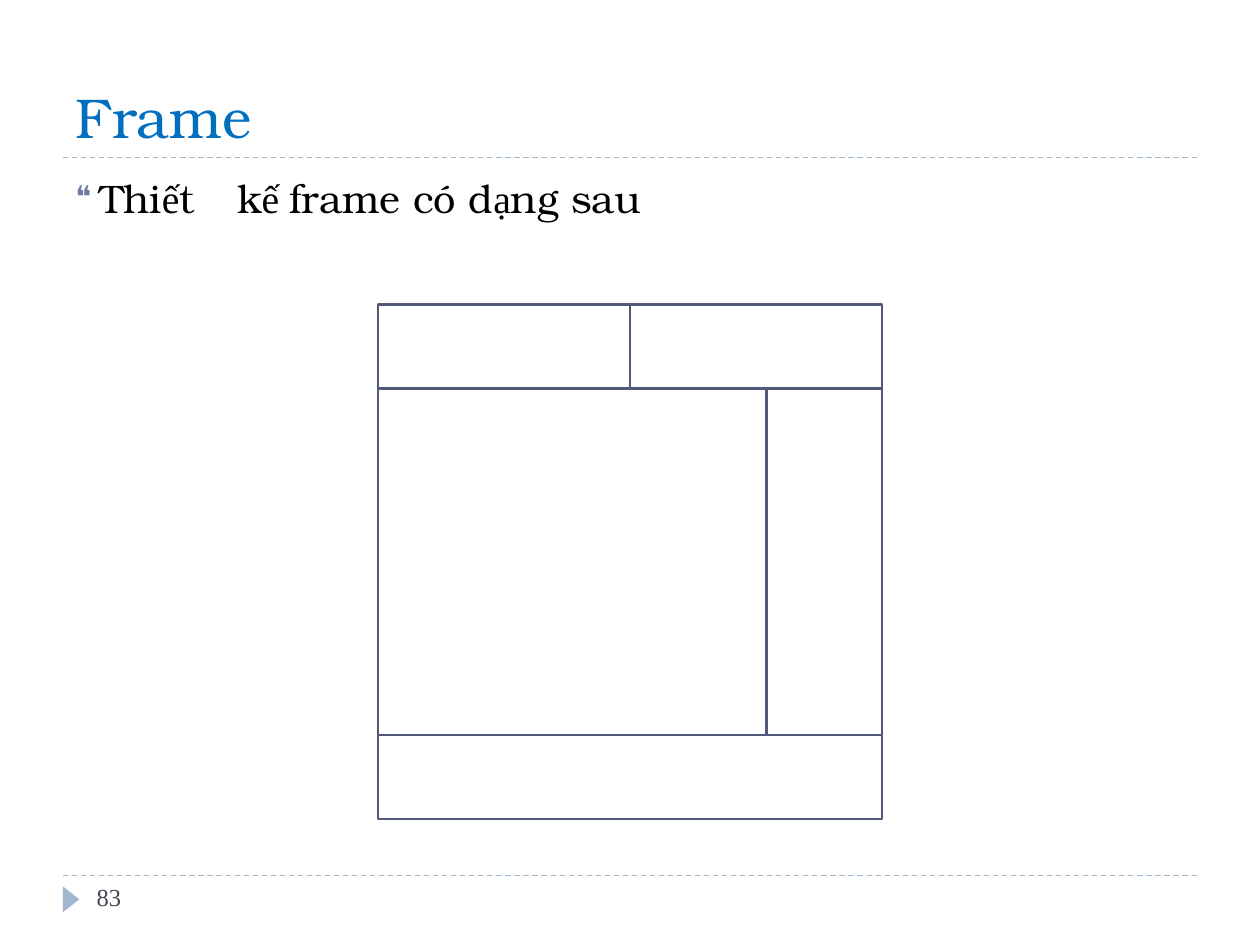
from lxml.etree import SubElement
from pptx import Presentation
from pptx.dml.color import RGBColor
from pptx.enum.dml import MSO_LINE_DASH_STYLE as Dash
from pptx.enum.shapes import MSO_CONNECTOR as Connector, MSO_SHAPE as Shape
from pptx.enum.text import MSO_ANCHOR as Anchor, MSO_AUTO_SIZE as AutoSize, PP_ALIGN as Align
from pptx.oxml.ns import qn
from pptx.util import Cm, Pt

COLORS = {"title": "006FC0", "text": "000000", "bullet": "717BA2",
          "rule": "9FB8CD", "frame": "525877", "number": "464652"}
SERIF, ACCENTED = "TeX Gyre Bonum", "Times New Roman"
TITLE = "Frame"
BODY = [("Thi", SERIF), ("ế", ACCENTED), ("t\tk", SERIF), ("ế ", ACCENTED),
        ("frame có d", SERIF), ("ạ", ACCENTED), ("ng sau", SERIF)]
NUMBER = "83"
RULES = [3.18, 17.65]
ARROW = [(1.27, 17.87), (1.27, 18.39), (1.6, 18.13)]
LEFT, RIGHT = 7.62, 17.78
FRAME_ROWS = [(6.14, 7.83, [12.7]), (7.83, 14.82, [15.45]), (14.82, 16.51, [])]


def rgb(name):
    return RGBColor.from_string(COLORS[name])


def place(sp, left, top, width, height):
    sp.left, sp.top, sp.width, sp.height = map(Cm, (left, top, width, height))
    tf = sp.text_frame
    tf.margin_left = tf.margin_right = tf.margin_top = tf.margin_bottom = 0
    tf.word_wrap = True
    tf.auto_size = AutoSize.NONE
    tf.vertical_anchor = Anchor.TOP
    return tf


def format_line(p, size, spacing, color, fonts):
    p.alignment = Align.LEFT
    p.line_spacing = Pt(spacing)
    p.space_before = Pt(0)
    for r, font in zip(p.runs, fonts):
        r.font.size, r.font.name = Pt(size), font
        r.font.color.rgb = rgb(color)


def add_bullet(p, char, indent, tab):
    pPr = p._p.get_or_add_pPr()
    pPr.set("marL", str(Cm(indent)))
    pPr.set("indent", str(-Cm(indent)))
    color = SubElement(pPr, qn("a:buClr"))
    SubElement(color, qn("a:srgbClr"), val=COLORS["bullet"])
    SubElement(pPr, qn("a:buSzPct"), val="75000")
    SubElement(pPr, qn("a:buFont"), typeface="Arial")
    SubElement(pPr, qn("a:buChar"), char=char)
    tabs = SubElement(pPr, qn("a:tabLst"))
    SubElement(tabs, qn("a:tab"), pos=str(Cm(tab)), algn="l")


def add_rule(s, y):
    sp = s.shapes.add_connector(Connector.STRAIGHT, Cm(1.27), Cm(y), Cm(24.13), Cm(y))
    sp.line.color.rgb = rgb("rule")
    sp.line.width = Pt(0.75)
    sp.line.dash_style = Dash.DASH
    SubElement(sp._element.spPr, qn("a:effectLst"))


def add_arrow(s):
    points = [(Cm(x), Cm(y)) for x, y in ARROW]
    builder = s.shapes.build_freeform(*points[0])
    builder.add_line_segments(points[1:], close=True)
    sp = builder.convert_to_shape()
    sp.shadow.inherit = False
    sp.fill.solid()
    sp.fill.fore_color.rgb = rgb("rule")
    sp.line.fill.background()


def add_frames(s):
    for top, bottom, splits in FRAME_ROWS:
        edges = [LEFT, *splits, RIGHT]
        for x1, x2 in zip(edges, edges[1:]):
            sp = s.shapes.add_shape(Shape.RECTANGLE, Cm(x1), Cm(top), Cm(x2 - x1), Cm(bottom - top))
            sp.shadow.inherit = False
            sp.fill.background()
            sp.line.color.rgb = rgb("frame")
            sp.line.width = Pt(1.5)


def main():
    """Build the frame layout exercise slide."""
    prs = Presentation()
    prs.slide_width, prs.slide_height = Cm(25.4), Cm(19.05)
    s = prs.slides.add_slide(prs.slide_layouts[1])
    for y in RULES:
        add_rule(s, y)
    add_arrow(s)
    add_frames(s)

    tf = place(s.shapes.title, 1.52, 1.82, 22, 1.2)
    tf.text = TITLE
    format_line(tf.paragraphs[0], 32, 34, "title", [SERIF])

    p = place(s.placeholders[1], 1.52, 3.47, 22, 1).paragraphs[0]
    add_bullet(p, "❝", 0.48, 3.26)
    for text, font in BODY:
        p.add_run().text = text
    format_line(p, 22.7, 27.9, "text", [font for text, font in BODY])

    tf = place(s.shapes.add_textbox(0, 0, 0, 0), 1.95, 17.84, 1, 0.56)
    tf.text = NUMBER
    format_line(tf.paragraphs[0], 14, 15.3, "number", [ACCENTED])
    prs.save("out.pptx")


if __name__ == "__main__":
    main()
